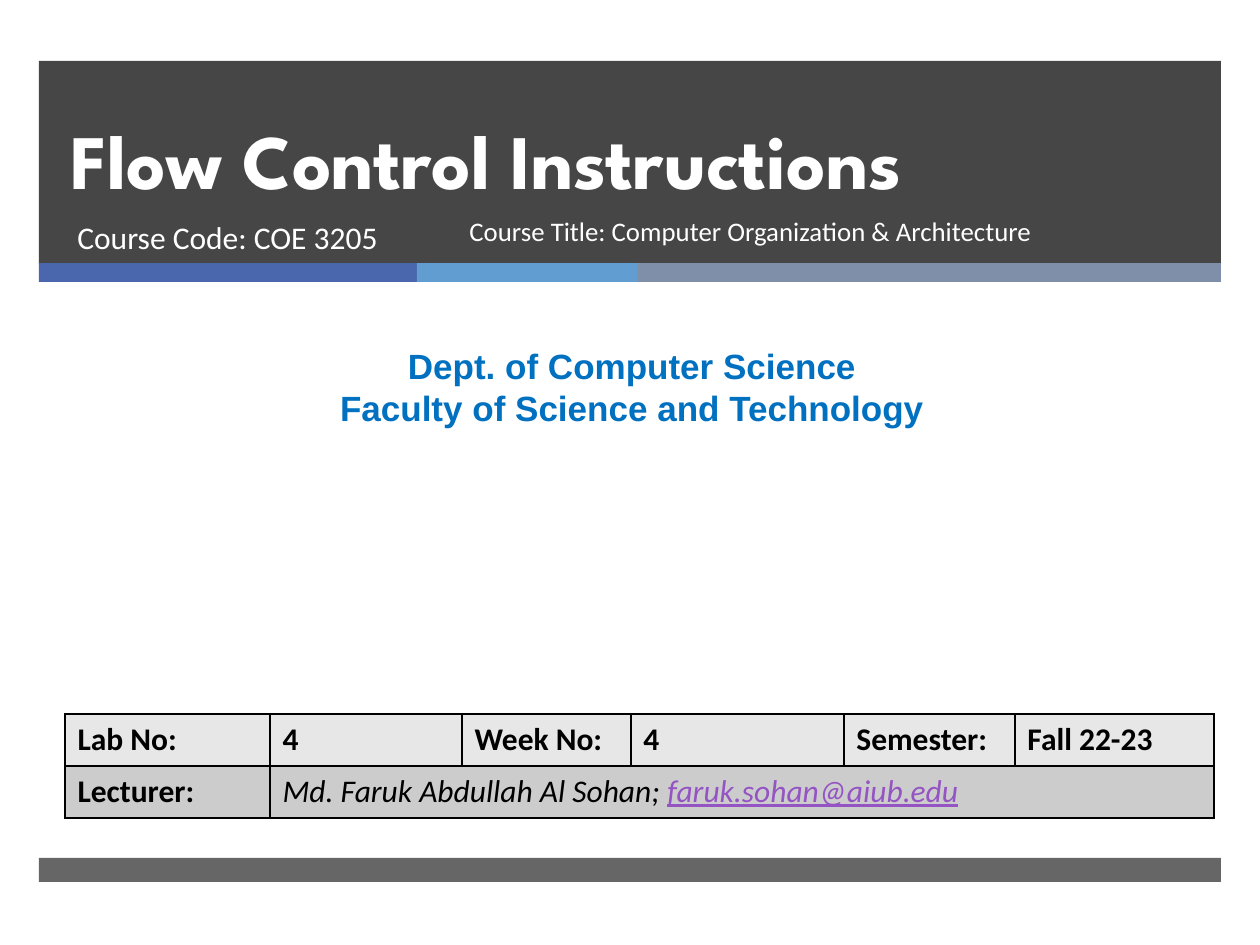
from dataclasses import dataclass

from lxml import etree
from pptx import Presentation
from pptx.dml.color import RGBColor
from pptx.enum.shapes import MSO_SHAPE
from pptx.enum.text import MSO_ANCHOR, PP_ALIGN
from pptx.oxml.ns import qn
from pptx.util import Pt

RECT = MSO_SHAPE.RECTANGLE
TOP, BOTTOM = MSO_ANCHOR.TOP, MSO_ANCHOR.BOTTOM
LEFT, CENTER = PP_ALIGN.LEFT, PP_ALIGN.CENTER


@dataclass(frozen=True)
class Theme:
    white: str = "FFFFFF"
    black: str = "000000"
    dark: str = "262626"
    stripes: tuple = ("4A66AC", "629DD1", "7F8FA9")
    dept: str = "0070C0"
    email: str = "9454C3"
    rows: tuple = ("E7E7E7", "CCCCCC")
    title_font: str = "League Spartan"
    dept_font: str = "Arial"
    body_font: str = "Calibri"
    title_size: float = 44
    dept_size: float = 20
    body_size: float = 18
    course_size: float = 15.3


THEME = Theme()


def px(n):
    return round(n * 914400 / 126)


def add_bar(slide, x, y, w, h, color, opacity=100):
    s = slide.shapes.add_shape(RECT, px(x), px(y), px(w), px(h))
    s.shadow.inherit = False
    s.line.fill.background()
    s.fill.solid()
    s.fill.fore_color.rgb = RGBColor.from_string(color)
    if opacity < 100:
        clr = s._element.spPr.find(".//" + qn("a:srgbClr"))
        etree.SubElement(clr, qn("a:alpha"), val=str(opacity * 1000))


def add_run(p, text, *, size=THEME.body_size, font=THEME.body_font,
            color=THEME.black, bold=False, italic=False, underline=False):
    r = p.add_run()
    r.text = text
    r.font.size = Pt(size)
    r.font.name = font
    r.font.color.rgb = RGBColor.from_string(color)
    r.font.bold, r.font.italic, r.font.underline = bold, italic, underline


def add_text(slide, x, y, w, h, lines, *, anchor=TOP, align=LEFT,
             spacing=None, **fmt):
    tf = slide.shapes.add_textbox(px(x), px(y), px(w), px(h)).text_frame
    tf.word_wrap = True
    tf.vertical_anchor = anchor
    for i, line in enumerate(lines):
        p = tf.add_paragraph() if i else tf.paragraphs[0]
        p.alignment = align
        p.line_spacing = spacing
        add_run(p, line, **fmt)


def set_borders(cell, color):
    """Draw a 1 pt line on all four sides, ahead of the cell's fill."""
    tcPr = cell._tc.get_or_add_tcPr()
    for i, side in enumerate(("a:lnL", "a:lnR", "a:lnT", "a:lnB")):
        ln = etree.Element(qn(side), w=str(Pt(1)))
        fill = etree.SubElement(ln, qn("a:solidFill"))
        etree.SubElement(fill, qn("a:srgbClr"), val=color)
        tcPr.insert(i, ln)


def add_info_table(slide, x, y, widths, row_height):
    labels = ["Lab No:", "4", "Week No:", "4", "Semester:", "Fall 22-23"]
    table = slide.shapes.add_table(2, len(widths), px(x), px(y),
                                   px(sum(widths)), px(2 * row_height)).table
    for column, width in zip(table.columns, widths):
        column.width = px(width)
    for row, color in zip(table.rows, THEME.rows):
        row.height = px(row_height)
        for cell in row.cells:
            cell.fill.solid()
            cell.fill.fore_color.rgb = RGBColor.from_string(color)
            set_borders(cell, THEME.black)

    for col, label in enumerate(labels):
        add_run(table.cell(0, col).text_frame.paragraphs[0], label, bold=True)
    add_run(table.cell(1, 0).text_frame.paragraphs[0], "Lecturer:", bold=True)
    lecturer = table.cell(1, 1)
    lecturer.merge(table.cell(1, len(widths) - 1))
    p = lecturer.text_frame.paragraphs[0]
    add_run(p, "Md. Faruk Abdullah Al Sohan; ", italic=True)
    add_run(p, "faruk.sohan@aiub.edu", color=THEME.email, italic=True,
            underline=True)


def main():
    prs = Presentation()
    prs.slide_width, prs.slide_height = px(1260), px(945)
    slide = prs.slides.add_slide(prs.slide_layouts[6])

    left, width = 39, 1182
    add_bar(slide, left, 61, width, 203, THEME.dark, opacity=85)
    x = left
    for w, color in zip((378, 221, 583), THEME.stripes):
        add_bar(slide, x, 263, w, 19, color)
        x += w
    add_bar(slide, left, 858, width, 24, THEME.dark, opacity=70)

    add_text(slide, 58, 61, 1076, 150, ["Flow Control Instructions"],
             anchor=BOTTOM, spacing=Pt(46), size=THEME.title_size,
             font=THEME.title_font, color=THEME.white, bold=True)
    add_text(slide, 65, 212, 384, 67, ["Course Code: COE 3205"],
             color=THEME.white)
    add_text(slide, 457, 212, 591, 67,
             ["Course Title: Computer Organization & Architecture"],
             spacing=0.9, size=THEME.course_size, color=THEME.white)
    add_text(slide, 10, 338, 1244, 97,
             ["Dept. of Computer Science",
              "Faculty of Science and Technology"],
             align=CENTER, size=THEME.dept_size, font=THEME.dept_font,
             color=THEME.dept, bold=True)
    add_info_table(slide, 65, 714, (205, 192, 169, 213, 171, 199), 52)

    prs.save("out.pptx")


if __name__ == "__main__":
    main()
